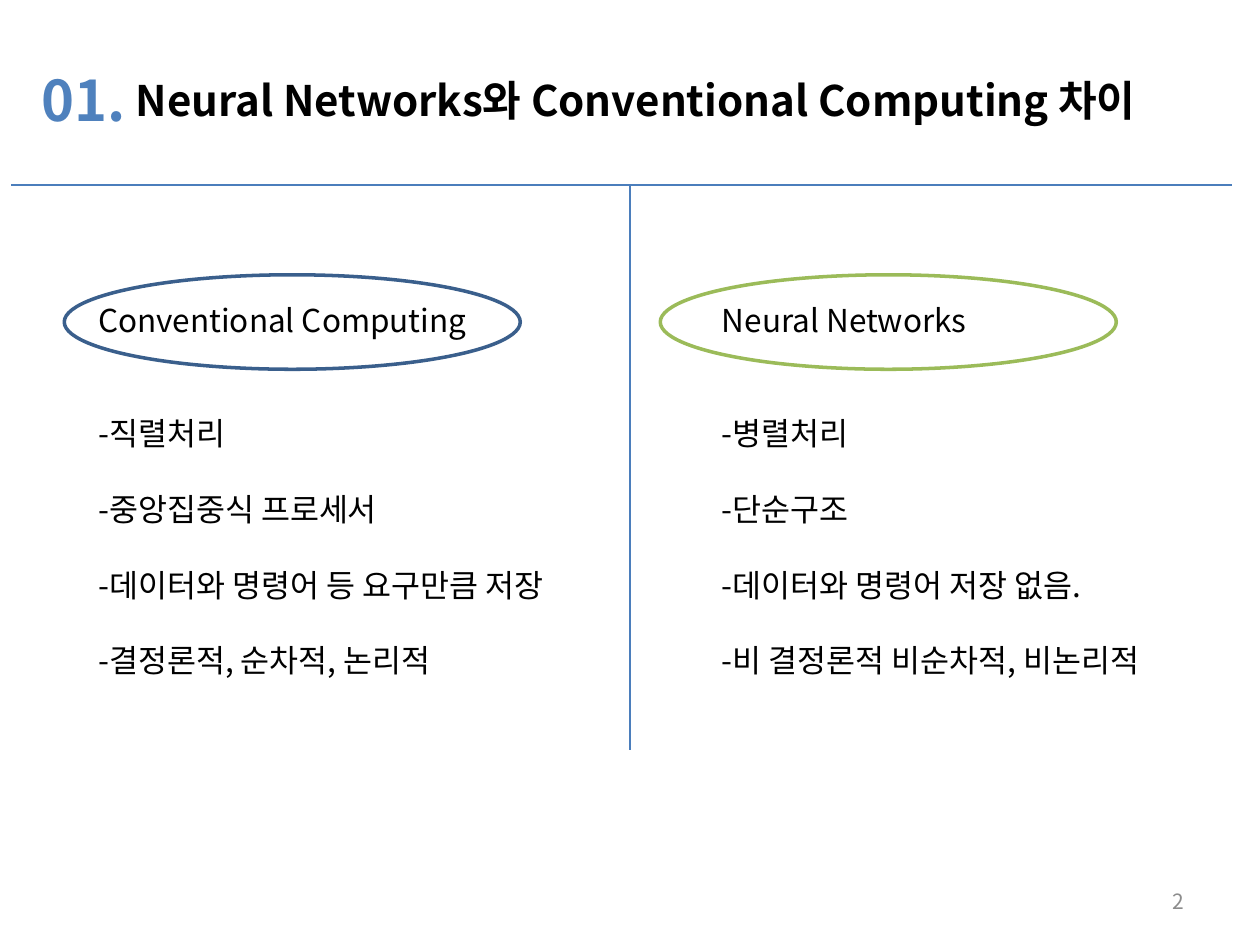
import pptx
import pptx.dml.color
import pptx.enum.shapes
import pptx.enum.text
import pptx.oxml
import pptx.oxml.ns
import pptx.util

Pt = pptx.util.Pt
FONT = "Noto Sans CJK KR"
COLORS = {"text": "000000", "number": "4F81BD", "page": "8C8C8C",
          "rule": "4B7EBC", "blue": "3A5F8C", "green": "9BBB59"}
LINE = 21.6
COLUMN_TOP = 168.5
COLUMNS = [
    (49, 36.7, "blue", "Conventional Computing",
     ["직렬처리", "중앙집중식 프로세서", "데이터와 명령어 등 요구만큼 저장",
      "결정론적, 순차적, 논리적"]),
    (405.4, 377.3, "green", "Neural Networks",
     ["병렬처리", "단순구조", "데이터와 명령어 저장 없음.",
      "비 결정론적 비순차적, 비논리적"]),
]


def rgb(name):
    """Return the named colour."""
    return pptx.dml.color.RGBColor.from_string(COLORS[name])


def style(p, size, color="text", bold=False):
    """Set the font of a paragraph for Latin and Korean text."""
    p.font.size, p.font.bold, p.font.name = Pt(size), bold, FONT
    p.font.color.rgb = rgb(color)
    props = p._p.pPr.find(pptx.oxml.ns.qn("a:defRPr"))
    ea = pptx.oxml.parse_xml(
        f'<a:ea {pptx.oxml.ns.nsdecls("a")} typeface="{FONT}"/>')
    props.find(pptx.oxml.ns.qn("a:latin")).addnext(ea)


def add_text(s, box, lines, size, color="text", bold=False):
    """Add a text box with one paragraph per line and return its frame."""
    tf = s.shapes.add_textbox(*map(Pt, box)).text_frame
    tf.word_wrap = True
    for i, line in enumerate(lines):
        p = tf.paragraphs[0] if i == 0 else tf.add_paragraph()
        p.text = line
        style(p, size, color, bold)
    return tf


def add_rule(s, x1, y1, x2, y2):
    """Add a thin straight line."""
    rule = s.shapes.add_connector(
        pptx.enum.shapes.MSO_CONNECTOR.STRAIGHT, *map(Pt, (x1, y1, x2, y2)))
    rule.line.width = Pt(0.75)
    rule.line.color.rgb = rgb("rule")
    rule._element.spPr.append(pptx.oxml.parse_xml(
        f'<a:effectLst {pptx.oxml.ns.nsdecls("a")}/>'))


def add_column(s, text_x, oval_x, color, heading, points):
    """Add a heading with its points, and an oval around the heading."""
    lines = [heading] + ["-" + point for point in points]
    tf = add_text(s, (text_x, COLUMN_TOP, 300, 225.4), lines, 18)
    for i, p in enumerate(tf.paragraphs):
        p.line_spacing = Pt(LINE)
        p.space_before = Pt((0, 2 * LINE)[i] if i < 2 else LINE)
    sp = s.shapes.add_shape(pptx.enum.shapes.MSO_SHAPE.OVAL,
                            Pt(oval_x), Pt(157), Pt(260.6), Pt(54))
    sp.shadow.inherit = False
    sp.fill.background()
    sp.line.width = Pt(2)
    sp.line.color.rgb = rgb(color)


def main():
    """Build the comparison slide."""
    prs = pptx.Presentation()
    prs.slide_width, prs.slide_height = Pt(720), Pt(540)
    s = prs.slides.add_slide(prs.slide_layouts[6])
    add_text(s, (70.6, 38.9, 686, 36),
             ["Neural Networks와 Conventional Computing 차이"], 24, bold=True)
    add_text(s, (16.6, 33.8, 76.3, 46), ["01."], 32, "number", True)
    add_rule(s, 6.5, 105.8, 704.2, 105.8)
    add_rule(s, 360, 105.8, 360, 428.4)
    for column in COLUMNS:
        add_column(s, *column)
    tf = add_text(s, (516.2, 500.4, 167.8, 28.8), ["2"], 12, "page")
    tf.vertical_anchor = pptx.enum.text.MSO_ANCHOR.MIDDLE
    tf.paragraphs[0].alignment = pptx.enum.text.PP_ALIGN.RIGHT
    prs.save("out.pptx")


main()
